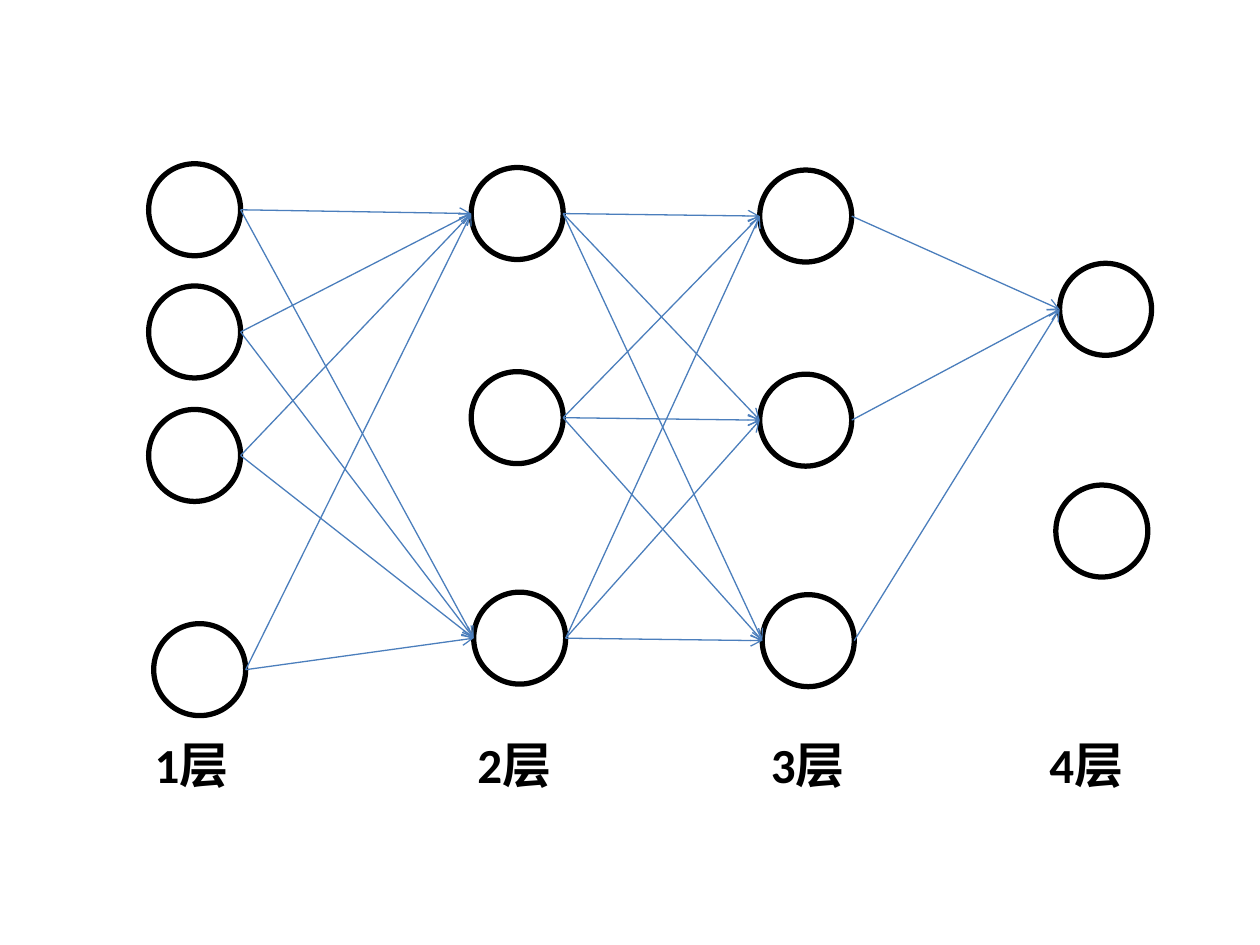
"""Draw a four-layer neural network with labelled layers."""
from itertools import product
from lxml import etree
from pptx import Presentation
from pptx.dml.color import RGBColor
from pptx.enum import shapes, text
from pptx.oxml import ns
from pptx.util import Inches, Pt

BLACK = RGBColor(0x00, 0x00, 0x00)
BLUE = RGBColor(0x4B, 0x7E, 0xBC)
SIZE = 0.73

deck = Presentation()
deck.slide_width, deck.slide_height = Inches(10), Inches(7.5)
slide = deck.slides.add_slide(deck.slide_layouts[6])

layers = [
    [(1.18, 1.3), (1.18, 2.27), (1.18, 3.25), (1.22, 4.95)],
    [(3.74, 1.33), (3.74, 2.95), (3.76, 4.7)],
    [(6.03, 1.35), (6.03, 2.97), (6.05, 4.72)],
    [(8.41, 2.09), (8.38, 3.85)],
]
targets = [(0, 2), (0, 1, 2), (0,)]
labels = [1.13, 3.69, 6.02, 8.23]

for layer in layers:
    for left, top in layer:
        node = slide.shapes.add_shape(
            shapes.MSO_SHAPE.OVAL, Inches(left), Inches(top), Inches(SIZE), Inches(SIZE))
        node.shadow.inherit = False
        node.fill.background()
        node.line.color.rgb = BLACK
        node.line.width = Pt(3)

for layer, after, picks in zip(layers, layers[1:], targets):
    for (left, top), pick in product(layer, picks):
        goal, drop = after[pick]
        link = slide.shapes.add_connector(
            shapes.MSO_CONNECTOR.STRAIGHT,
            Inches(left + SIZE), Inches(top + SIZE / 2),
            Inches(goal), Inches(drop + SIZE / 2))
        link.line.color.rgb = BLUE
        link.line.width = Pt(0.75)
        etree.SubElement(link.line._get_or_add_ln(), ns.qn("a:tailEnd"), type="arrow")
        etree.SubElement(link._element.spPr, ns.qn("a:effectLst"))

for count, left in enumerate(labels, 1):
    label = slide.shapes.add_textbox(Inches(left), Inches(5.78), Inches(1.57), Inches(0.57))
    frame = label.text_frame
    frame.word_wrap = True
    frame.auto_size = text.MSO_AUTO_SIZE.SHAPE_TO_FIT_TEXT
    frame.text = f"{count}层"
    font = frame.paragraphs[0].runs[0].font
    font.name = "Calibri"
    font.size = Pt(28)
    font.bold = True
    font.color.rgb = BLACK

deck.save("out.pptx")
